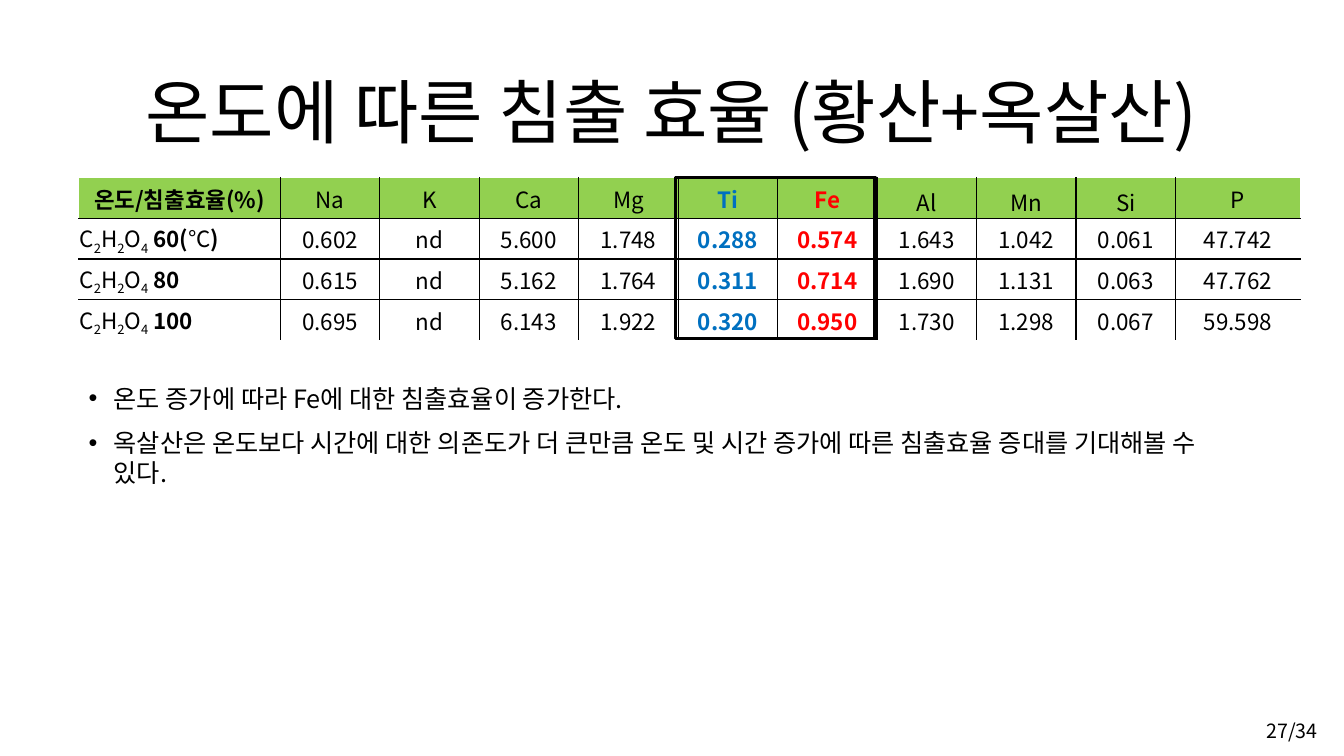
from dataclasses import dataclass

from lxml import etree
from pptx import Presentation
from pptx.dml.color import RGBColor
from pptx.enum.shapes import MSO_SHAPE
from pptx.enum.text import MSO_ANCHOR, PP_ALIGN
from pptx.oxml.ns import qn
from pptx.util import Inches, Pt

CENTER, LEFT = PP_ALIGN.CENTER, PP_ALIGN.LEFT
TOP, MIDDLE, BOTTOM = MSO_ANCHOR.TOP, MSO_ANCHOR.MIDDLE, MSO_ANCHOR.BOTTOM
RECTANGLE = MSO_SHAPE.RECTANGLE

FONT = "Noto Sans CJK KR"
COLORS = {
    "black": "000000",
    "white": "FFFFFF",
    "green": "92D050",
    "blue": "0070C0",
    "red": "FF0000",
}
WIDTH, HEIGHT = Inches(13.33), Inches(7.5)


@dataclass(frozen=True)
class Area:
    """A rectangle in percent of the slide's width and height."""
    left: float
    top: float
    width: float
    height: float

    def lengths(self) -> tuple[int, int, int, int]:
        return (across(self.left), down(self.top),
                across(self.width), down(self.height))


@dataclass(frozen=True)
class Span:
    text: str
    bold: bool = False
    color: str = "black"
    subscript: bool = False


@dataclass(frozen=True)
class TextBlock:
    area: Area
    lines: tuple[str, ...]
    size: float
    align: PP_ALIGN = CENTER
    anchor: MSO_ANCHOR = MIDDLE
    line_spacing: float = 0.9
    bulleted: bool = False


TITLE = TextBlock(Area(4.88, 5.6, 90.1, 19.33),
                  ("온도에 따른 침출 효율 (황산+옥살산)",), 50)
FINDINGS = TextBlock(
    Area(5.85, 50, 86.27, 46.13),
    ("온도 증가에 따라 Fe에 대한 침출효율이 증가한다.",
     "옥살산은 온도보다 시간에 대한 의존도가 더 큰만큼 온도 및 시간 증가에 따른 "
     "침출효율 증대를 기대해볼 수 있다."),
    18, LEFT, TOP, 1.0, True)
PAGE_NUMBER = TextBlock(Area(92.2, 93.47, 7.88, 6.8), ("27/34",), 14)

TABLE_AREA = Area(5.85, 23.47, 90.92, 21.6)
HIGHLIGHT_AREA = Area(50.26, 23.47, 14.85, 21.33)
LABEL_SHARE, LAST_SHARE = 15, 9.3
ELEMENTS = ("Na", "K", "Ca", "Mg", "Ti", "Fe", "Al", "Mn", "Si", "P")
HIGHLIGHTS = {"Ti": "blue", "Fe": "red"}
LOW_HEADERS = ("Al", "Mn", "Si")
OXALIC_ACID = tuple(Span(char, subscript=char.isdigit()) for char in "C2H2O4")
ROWS = (
    ((Span(" 60(", True), Span("℃"), Span(")", True)),
     "0.602 nd 5.600 1.748 0.288 0.574 1.643 1.042 0.061 47.742"),
    ((Span(" 80", True),),
     "0.615 nd 5.162 1.764 0.311 0.714 1.690 1.131 0.063 47.762"),
    ((Span(" 100", True),),
     "0.695 nd 6.143 1.922 0.320 0.950 1.730 1.298 0.067 59.598"),
)


def across(percent: float) -> int:
    return round(WIDTH * percent / 100)


def down(percent: float) -> int:
    return round(HEIGHT * percent / 100)


def rgb(name: str) -> RGBColor:
    return RGBColor.from_string(COLORS[name])


def add_span(para, span: Span, size: float) -> None:
    run = para.add_run()
    run.text = span.text
    run.font.size = Pt(size)
    run.font.bold = span.bold
    run.font.color.rgb = rgb(span.color)
    run.font.name = FONT
    properties = run._r.get_or_add_rPr()
    etree.SubElement(properties, qn("a:ea"), typeface=FONT)
    if span.subscript:
        properties.set("baseline", "-25000")


def add_bullet(para) -> None:
    properties = para._p.get_or_add_pPr()
    properties.set("marL", str(Inches(0.25)))
    properties.set("indent", str(-Inches(0.25)))
    etree.SubElement(properties, qn("a:buFont"), typeface="Arial")
    etree.SubElement(properties, qn("a:buChar"), char="•")


def add_text(page, block: TextBlock) -> None:
    frame = page.shapes.add_textbox(*block.area.lengths()).text_frame
    frame.word_wrap = True
    frame.vertical_anchor = block.anchor
    for index, line in enumerate(block.lines):
        para = frame.add_paragraph() if index else frame.paragraphs[0]
        if block.bulleted:
            add_bullet(para)
        para.alignment = block.align
        para.line_spacing = block.line_spacing
        para.space_before = Pt(10 if index else 0)
        add_span(para, Span(line), block.size)


def set_borders(cell, edges: dict[str, str]) -> None:
    properties = cell._tc.get_or_add_tcPr()
    for index, side in enumerate("LRTB"):
        border = etree.Element(qn(f"a:ln{side}"), w=str(Pt(1)))
        fill = etree.SubElement(border, qn("a:solidFill"))
        etree.SubElement(fill, qn("a:srgbClr"), val=COLORS[edges[side]])
        properties.insert(index, border)


def fill_cell(cell, spans: tuple[Span, ...], fill: str,
              align: PP_ALIGN, anchor: MSO_ANCHOR) -> None:
    cell.margin_left = cell.margin_right = cell.margin_top = Inches(0.01)
    cell.margin_bottom = 0
    cell.vertical_anchor = anchor
    cell.fill.solid()
    cell.fill.fore_color.rgb = rgb(fill)
    para = cell.text_frame.paragraphs[0]
    para.alignment = align
    for span in spans:
        add_span(para, span, 16)


def table_rows() -> list[list[tuple[Span, ...]]]:
    def styled(texts) -> list[tuple[Span, ...]]:
        return [(Span(text, name in HIGHLIGHTS, HIGHLIGHTS.get(name, "black")),)
                for name, text in zip(ELEMENTS, texts)]

    header = [(Span("온도/침출효율(%)", True),), *styled(ELEMENTS)]
    return [header] + [[OXALIC_ACID + label, *styled(values.split())]
                       for label, values in ROWS]


def add_yield_table(page) -> None:
    rows = table_rows()
    last_row, last_column = len(rows) - 1, len(ELEMENTS)
    table = page.shapes.add_table(len(rows), last_column + 1,
                                  *TABLE_AREA.lengths()).table
    table.horz_banding = table.first_row = False

    # Column and row sizes
    middle = (TABLE_AREA.width - LABEL_SHARE - LAST_SHARE) / (last_column - 1)
    shares = [LABEL_SHARE] + [middle] * (last_column - 1) + [LAST_SHARE]
    for column, share in zip(table.columns, shares):
        column.width = across(share)
    for row in table.rows:
        row.height = down(TABLE_AREA.height / len(rows))

    # Cells: white outer edges, black inner rules
    for r, row in enumerate(rows):
        for c, spans in enumerate(row):
            low = r == 0 and spans[0].text in LOW_HEADERS
            fill_cell(table.cell(r, c), spans, "white" if r else "green",
                      LEFT if r and c == 0 else CENTER, BOTTOM if low else MIDDLE)
            outer = {"L": c == 0, "R": c == last_column,
                     "T": r == 0, "B": r == last_row}
            set_borders(table.cell(r, c), {side: "white" if edge else "black"
                                           for side, edge in outer.items()})


def add_highlight(page) -> None:
    box = page.shapes.add_shape(RECTANGLE, *HIGHLIGHT_AREA.lengths())
    box.shadow.inherit = False
    box.fill.background()
    box.line.color.rgb = rgb("black")
    box.line.width = Pt(2.25)


def main() -> None:
    deck = Presentation()
    deck.slide_width, deck.slide_height = WIDTH, HEIGHT
    page = deck.slides.add_slide(deck.slide_layouts[6])
    add_text(page, TITLE)
    add_yield_table(page)
    add_highlight(page)
    add_text(page, FINDINGS)
    add_text(page, PAGE_NUMBER)
    deck.save("out.pptx")


if __name__ == "__main__":
    main()
